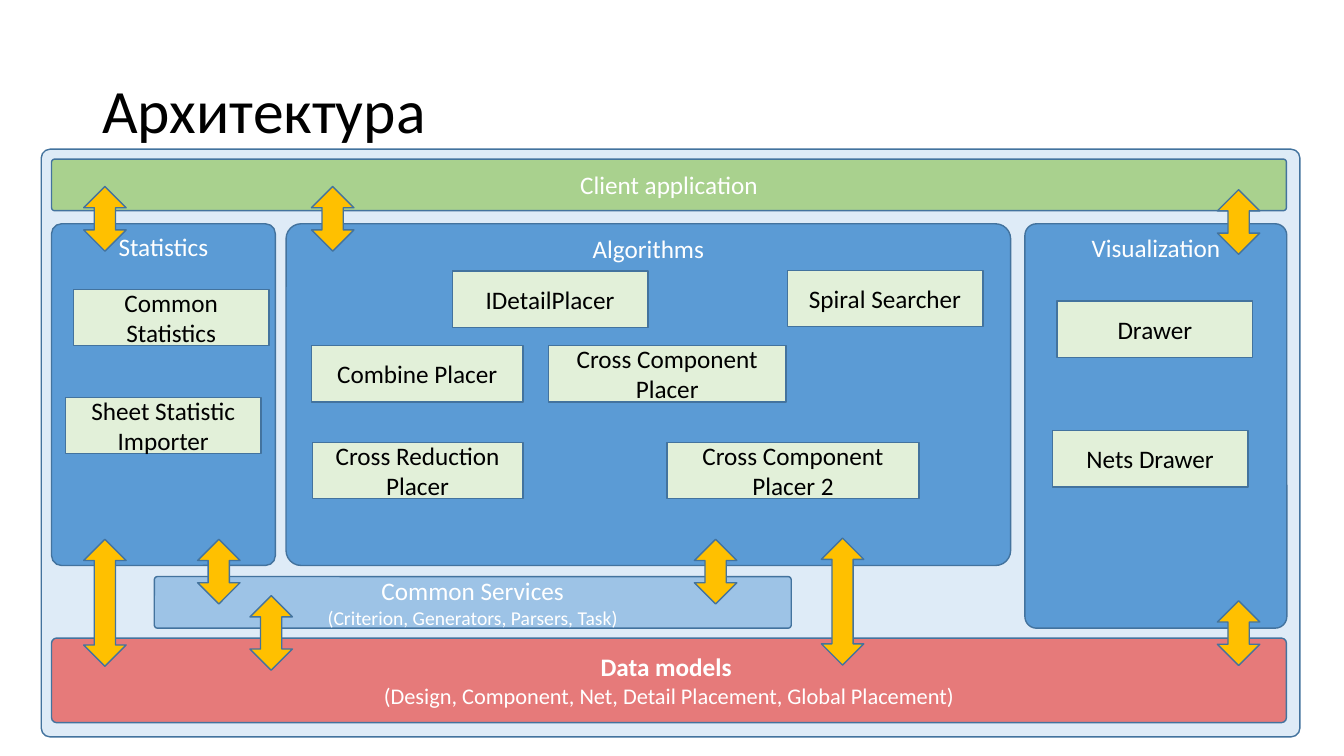
from pptx import Presentation
from pptx.dml.color import RGBColor
from pptx.enum.shapes import MSO_SHAPE
from pptx.enum.text import MSO_ANCHOR, PP_ALIGN
from pptx.util import Cm, Pt

COLORS = {
    "frame": "DEEBF7", "client": "A9D18E", "data": "E67A7A",
    "services": "9DC3E6", "panel": "5B9BD5", "arrow": "FFC000",
    "module": "E2F0D9", "outline": "43739E", "black": "000000", "white": "FFFFFF",
}


def add_block(kind, box, color, corner=None):
    shape = slide.shapes.add_shape(kind, *[Cm(length) for length in box])
    shape.shadow.inherit = False
    shape.fill.solid()
    shape.fill.fore_color.rgb = RGBColor.from_string(COLORS[color])
    shape.line.color.rgb = RGBColor.from_string(COLORS["outline"])
    shape.line.width = Pt(1)
    if corner is not None:
        shape.adjustments[0] = corner
    return shape


def write_lines(shape, lines, color, anchor=MSO_ANCHOR.MIDDLE, align=PP_ALIGN.CENTER):
    frame = shape.text_frame
    frame.word_wrap = True
    frame.vertical_anchor = anchor
    for index, (text, size, bold) in enumerate(lines):
        paragraph = frame.paragraphs[0] if index == 0 else frame.add_paragraph()
        paragraph.alignment = align
        run = paragraph.add_run()
        run.text = text
        run.font.name = "Calibri"
        run.font.size = Pt(size)
        run.font.bold = bold
        run.font.color.rgb = RGBColor.from_string(COLORS[color])


presentation = Presentation()
presentation.slide_width = Cm(33.87)
presentation.slide_height = Cm(19.05)
slide = presentation.slides.add_slide(presentation.slide_layouts[6])

# Title
title = slide.shapes.add_textbox(Cm(2.33), Cm(1.01), Cm(29.21), Cm(3.68))
write_lines(title, [("Архитектура", 44, False)], "black", align=PP_ALIGN.LEFT)
title.text_frame.paragraphs[0].line_spacing = 0.9

# Background frame
add_block(MSO_SHAPE.ROUNDED_RECTANGLE, (1.04, 3.76, 31.72, 14.81), "frame", 0.015)

# Horizontal layers
layers = [
    ((1.3, 4.01, 31.12, 1.3), "client", [("Client application", 18, False)]),
    ((1.3, 16.08, 31.12, 2.13), "data", [
        ("Data models ", 18, True),
        ("(Design, Component, Net, Detail Placement, Global Placement)", 16, False)]),
    ((3.89, 14.53, 16.05, 1.3), "services", [
        ("Common Services", 18, False),
        ("(Criterion, Generators, Parsers, Task)", 14, False)]),
]
for box, color, lines in layers:
    layer = add_block(MSO_SHAPE.ROUNDED_RECTANGLE, box, color, 0.059)
    write_lines(layer, lines, "white")

# Panels
PANEL_TOP = 5.64
panels = [
    ("Algorithms", 7.21, 18.26, 8.61),
    ("Visualization", 25.83, 6.6, 10.19),
    ("Statistics", 1.3, 5.64, 8.61),
]
for name, left, width, height in panels:
    panel = add_block(MSO_SHAPE.ROUNDED_RECTANGLE,
                      (left, PANEL_TOP, width, height), "panel", 0.044)
    write_lines(panel, [(name, 18, False)], "white", MSO_ANCHOR.TOP)

# Arrows between layers: left, top, height
ARROW_WIDTH = 1.07
SHORT, MEDIUM, LONG = 1.63, 1.88, 3.2
arrows = [
    (2.11, 13.59, LONG), (4.98, 13.59, SHORT), (6.3, 15.01, MEDIUM),
    (17.5, 13.59, SHORT), (20.7, 13.56, LONG), (30.68, 15.14, SHORT),
    (2.11, 4.7, SHORT), (7.85, 4.7, SHORT), (30.68, 4.78, SHORT),
]
for left, top, height in arrows:
    add_block(MSO_SHAPE.UP_DOWN_ARROW, (left, top, ARROW_WIDTH, height), "arrow")

# Modules inside the panels: name, left, top, width
MODULE_WIDTH, MODULE_HEIGHT = 4.93, 1.42
modules = [
    ("IDetailPlacer", 11.4, 6.83, MODULE_WIDTH),
    ("Cross Reduction Placer", 7.87, 11.15, 5.31),
    ("Combine Placer", 7.85, 8.71, 5.33),
    ("Cross Component Placer", 13.82, 8.71, 5.99),
    ("Cross Component Placer 2", 16.81, 11.15, 6.35),
    ("Spiral Searcher", 19.84, 6.81, MODULE_WIDTH),
    ("Drawer", 26.64, 7.59, MODULE_WIDTH),
    ("Nets Drawer", 26.52, 10.85, MODULE_WIDTH),
    ("Common Statistics", 1.85, 7.29, MODULE_WIDTH),
    ("Sheet Statistic Importer", 1.65, 10.01, MODULE_WIDTH),
]
for name, left, top, width in modules:
    module = add_block(MSO_SHAPE.RECTANGLE, (left, top, width, MODULE_HEIGHT), "module")
    write_lines(module, [(name, 18, False)], "black")

presentation.save("out.pptx")
